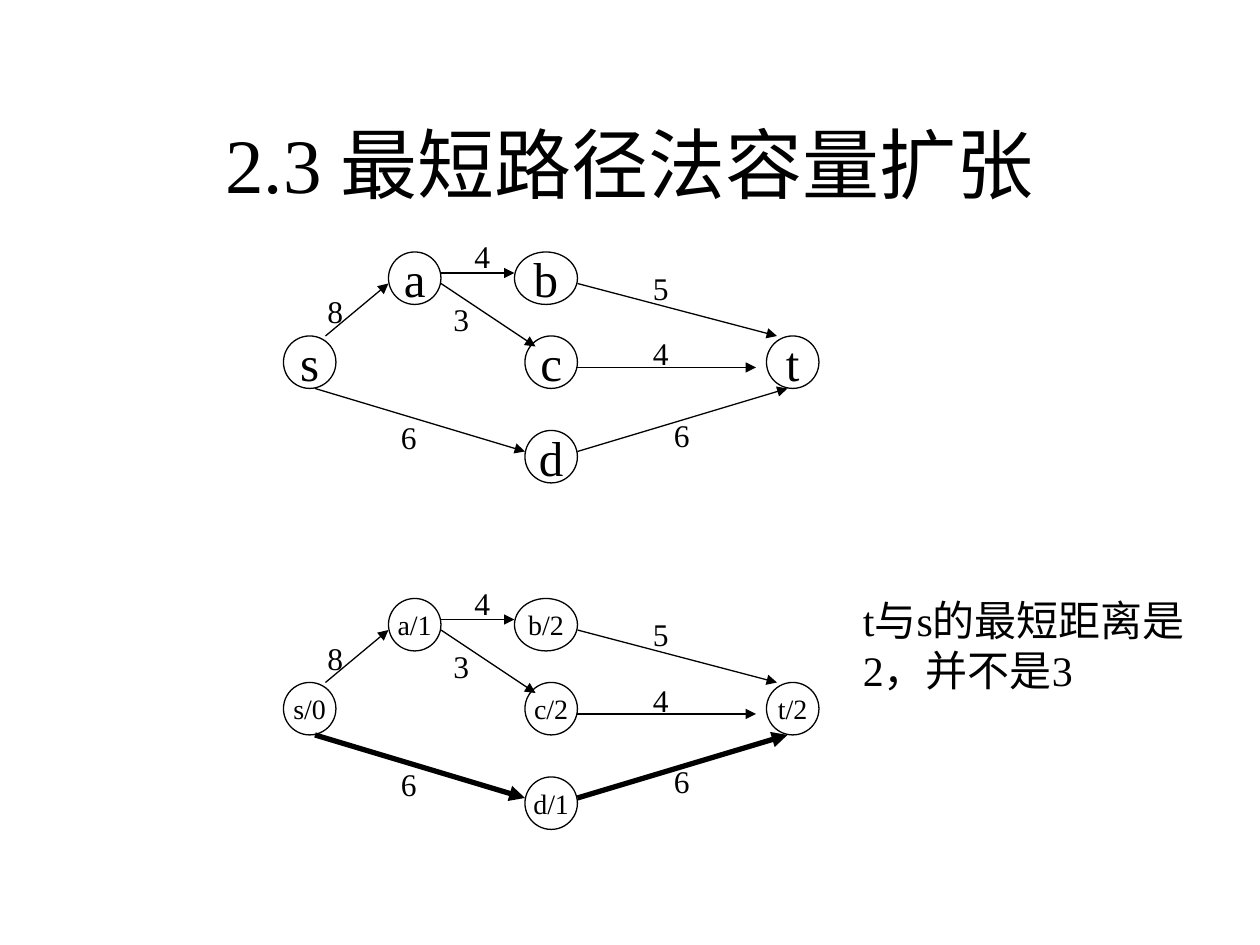
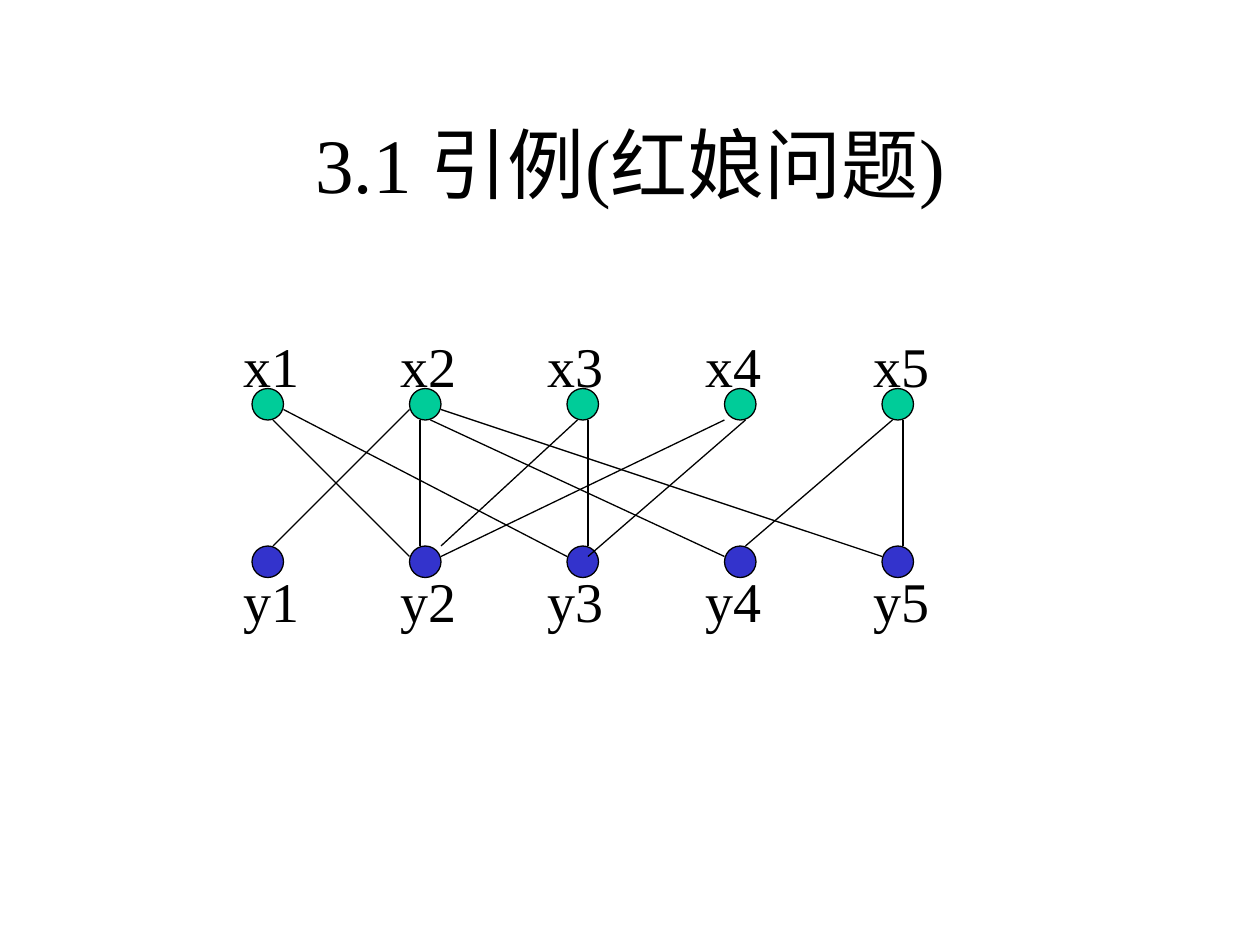
from lxml import etree
from pptx import Presentation
from pptx.dml.color import RGBColor
from pptx.enum.shapes import MSO_CONNECTOR, MSO_SHAPE
from pptx.enum.text import MSO_ANCHOR, MSO_AUTO_SIZE, PP_ALIGN
from pptx.oxml.ns import qn
from pptx.util import Cm, Pt

ELLIPSE = MSO_SHAPE.OVAL
STRAIGHT = MSO_CONNECTOR.STRAIGHT
MIDDLE, TOP = MSO_ANCHOR.MIDDLE, MSO_ANCHOR.TOP
CENTER, LEFT = PP_ALIGN.CENTER, PP_ALIGN.LEFT
GROW, FIXED = MSO_AUTO_SIZE.SHAPE_TO_FIT_TEXT, MSO_AUTO_SIZE.NONE
TITLE_ONLY = 5

FONT = "Times New Roman"
BLACK, WHITE, GREEN, BLUE = "000000", "FFFFFF", "00CC99", "3333CC"
THIN, THICK = 0.75, 3
LINE_HEIGHT = 4.8


def color(hex_string):
    return RGBColor.from_string(hex_string)


def grid(*steps):
    """Convert grid steps, twelve to 2.54 cm, to lengths."""
    return [Cm(step * 2.54 / 12) for step in steps]


def set_attributes(target, values):
    for name, value in values.items():
        setattr(target, name, value)


class Deck:
    def __init__(self):
        self.presentation = Presentation()
        self.presentation.slide_width = Cm(25.4)
        self.presentation.slide_height = Cm(19.05)
        self.slide = None

    def add_slide(self, title):
        layout = self.presentation.slide_layouts[TITLE_ONLY]
        self.slide = self.presentation.slides.add_slide(layout)
        shape = self.slide.shapes.title
        left, top, width, height = grid(9, 8, 102, 15)
        set_attributes(shape, {"left": left, "top": top, "width": width, "height": height})
        self.set_text(shape, title, 44, align=CENTER, anchor=MIDDLE)

    def set_text(self, shape, text, size, align=LEFT, anchor=TOP, wrap=True, fit=FIXED):
        frame = shape.text_frame
        frame.text = text
        set_attributes(frame, {"word_wrap": wrap, "auto_size": fit, "vertical_anchor": anchor})
        paragraph = frame.paragraphs[0]
        paragraph.alignment = align
        set_attributes(paragraph.font, {"name": FONT, "size": Pt(size)})
        paragraph.font.color.rgb = color(BLACK)

    def stroke(self, shape, width=THIN):
        shape.line.color.rgb = color(BLACK)
        shape.line.width = Pt(width)

    def ellipse(self, left, top, width, height, fill, text="", size=28):
        shape = self.slide.shapes.add_shape(ELLIPSE, *grid(left, top, width, height))
        shape.shadow.inherit = False
        shape.fill.solid()
        shape.fill.fore_color.rgb = color(fill)
        self.stroke(shape)
        if text:
            self.set_text(shape, text, size, align=CENTER, anchor=MIDDLE, wrap=False)

    def label(self, left, top, text, size, width=8, height=LINE_HEIGHT):
        box = self.slide.shapes.add_textbox(*grid(left, top, width, height))
        self.set_text(box, text, size, fit=GROW)

    def line(self, ends, width=THIN, arrow=False):
        connector = self.slide.shapes.add_connector(STRAIGHT, *grid(*ends))
        self.stroke(connector, width)
        properties = connector.element.spPr
        if arrow:
            etree.SubElement(properties.find(qn("a:ln")), qn("a:tailEnd"), type="triangle")
        etree.SubElement(properties, qn("a:effectLst"))


# All places below are in grid steps.
# Node: left, top, width
NODES = {
    "s": (27, 32, 5), "a": (37, 24, 5), "b": (49, 24, 6),
    "d": (50, 41, 5), "c": (50, 32, 5), "t": (73, 32, 5),
}
# Edge: line ends, capacity, left and top of the capacity label
EDGES = {
    "sa": ((31, 32, 37, 27), "8", (30, 27.25)),
    "sd": ((30, 37, 50, 43), "6", (37, 39.25)),
    "ab": ((42, 26, 49, 26), "4", (44, 22)),
    "bt": ((55, 27, 74, 32), "5", (61, 25)),
    "dt": ((55, 43, 75, 37), "6", (63, 39)),
    "ac": ((42, 27, 51, 33), "3", (42, 28)),
    "ct": ((55, 35, 72, 35), "4", (61, 31.25)),
}
DISTANCES = {"s": 0, "a": 1, "b": 2, "c": 2, "d": 1, "t": 2}
SHORTEST_PATH = ("sd", "dt")
NETWORK_GAP = 33


def draw_network(deck, down=0, distances=None, path_edges=()):
    for name, (left, top, width) in NODES.items():
        text = f"{name}/{distances[name]}" if distances else name
        deck.ellipse(left, top + down, width, 5, WHITE, text, 16 if distances else 28)
    for name, ((x1, y1, x2, y2), _, _) in EDGES.items():
        width = THICK if name in path_edges else THIN
        deck.line((x1, y1 + down, x2, y2 + down), width, arrow=True)
    for name, (_, capacity, (left, top)) in EDGES.items():
        deck.label(left, top + down, capacity, 18, width=5 if name == "sd" else 8)


def shortest_path_slide(deck):
    deck.add_slide("2.3 最短路径法容量扩张")
    draw_network(deck)
    draw_network(deck, NETWORK_GAP, DISTANCES, SHORTEST_PATH)
    deck.label(81, 56, "t与s的最短距离是2，并不是3", 24, width=36, height=10.8)


# Row: letter, colour, top of the dots, top of the labels
ROWS = (("x", GREEN, 37, 31), ("y", BLUE, 52, 53.4))
LABEL_LEFTS = (22, 37, 51, 66, 82)
FIRST_DOT, DOT_PITCH, DOT_SIZE = 24, 15, 3
PAIRS = (
    (26, 40, 39, 53), (27, 39, 54, 53),
    (39, 39, 26, 52), (41, 40, 69, 53), (42, 39, 84, 53), (40, 40, 40, 52),
    (55, 40, 42, 52), (56, 40, 56, 52),
    (42, 53, 69, 40), (71, 40, 56, 53),
    (85, 40, 71, 52), (86, 40, 86, 52),
)


def matching_slide(deck):
    deck.add_slide("3.1 引例(红娘问题)")
    for _, fill, dot_top, _ in ROWS:
        for column in range(len(LABEL_LEFTS)):
            deck.ellipse(FIRST_DOT + column * DOT_PITCH, dot_top, DOT_SIZE, DOT_SIZE, fill)
    for letter, _, _, label_top in ROWS:
        for number, left in enumerate(LABEL_LEFTS, 1):
            deck.label(left, label_top, f"{letter}{number}", 32, width=9, height=7.7)
    for ends in PAIRS:
        deck.line(ends)


def main():
    deck = Deck()
    shortest_path_slide(deck)
    matching_slide(deck)
    deck.presentation.save("out.pptx")


if __name__ == "__main__":
    main()
